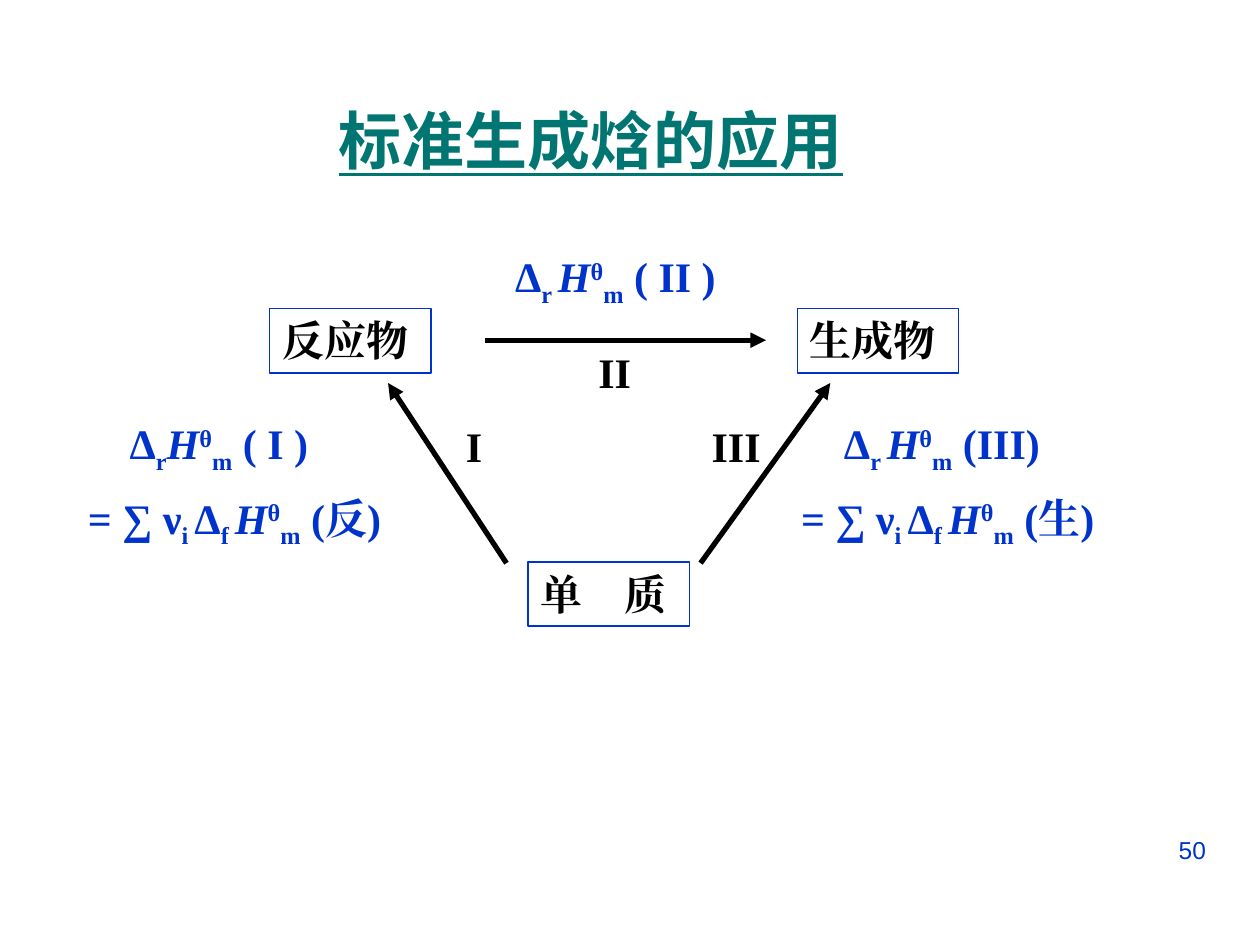
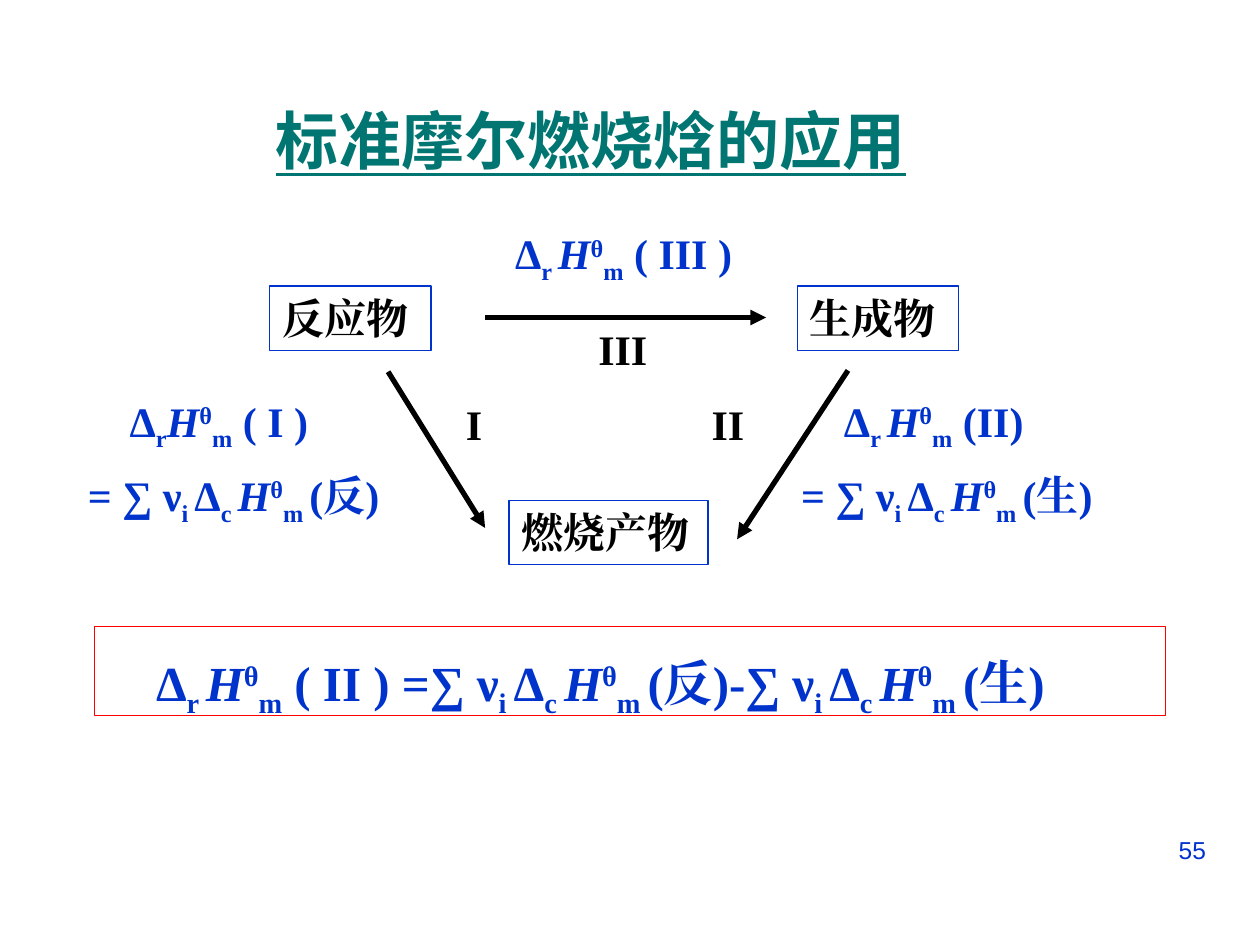
from lxml.etree import SubElement
from pptx import Presentation
from pptx.dml.color import RGBColor
from pptx.enum.shapes import MSO_CONNECTOR, MSO_SHAPE
from pptx.enum.text import MSO_ANCHOR, PP_ALIGN
from pptx.oxml.ns import qn
from pptx.util import Inches, Pt

BLUE = RGBColor(0x00, 0x33, 0xCC)
TEAL = RGBColor(0x00, 0x75, 0x72)
RED = RGBColor(0xFF, 0x00, 0x00)
BLACK = RGBColor(0x00, 0x00, 0x00)
WHITE = RGBColor(0xFF, 0xFF, 0xFF)
SERIF, SANS, CJK = "Times New Roman", "Arial", "Noto Sans CJK SC"
BASELINES = {"_": "-25000", "^": "30000"}


def enthalpy(sub, tail, m="m"):
    """Return the markup of a molar enthalpy: _ lowers, ^ raises, * slants."""
    return f"Δ|_{sub}|*H|^θ|_{m}|{tail}"


def weighted_sum(sub, state, m="m"):
    """Return the markup of a sum of enthalpies over the species of a state."""
    return "∑ ν|_i |" + enthalpy(sub, state, m)


def add_run(p, part, size, color, font, bold, underline):
    """Add one run, whose first character may mark its style."""
    r = p.add_run()
    r.text = part.lstrip("_^*")
    f = r.font
    f.name, f.size, f.bold, f.underline = font, Pt(size), bold, underline
    f.color.rgb = color
    f.italic = part.startswith("*")
    rPr = f._element
    SubElement(rPr, qn("a:ea"), typeface=font)
    if part[0] in BASELINES:
        rPr.set("baseline", BASELINES[part[0]])


def write(sp, lines, size=24, color=BLACK, font=SERIF, bold=True, underline=False,
          align=PP_ALIGN.LEFT, spacing=None, indents=(0,), wrap=True):
    """Fill a shape with lines of marked-up text."""
    tf = sp.text_frame
    tf.word_wrap = wrap
    tf.vertical_anchor = MSO_ANCHOR.TOP
    for i, (line, indent) in enumerate(zip(lines, indents)):
        p = tf.add_paragraph() if i else tf.paragraphs[0]
        p.alignment = align
        if spacing:
            p.line_spacing = spacing
        if indent:
            p._p.get_or_add_pPr().set("marL", str(Inches(indent)))
        for part in line.split("|"):
            add_run(p, part, size, color, font, bold, underline)


def add_label(slide, x, y, w, h, *lines, **fmt):
    """Add a text box."""
    write(slide.shapes.add_textbox(*map(Inches, (x, y, w, h))), lines, **fmt)


def add_box(slide, x, y, w, h, text, line=BLUE, fill=WHITE, **fmt):
    """Add an outlined rectangle with text."""
    sp = slide.shapes.add_shape(MSO_SHAPE.RECTANGLE, *map(Inches, (x, y, w, h)))
    sp.shadow.inherit = False
    if fill is None:
        sp.fill.background()
    else:
        sp.fill.solid()
        sp.fill.fore_color.rgb = fill
    sp.line.color.rgb = line
    sp.line.width = Pt(0.75)
    write(sp, [text], **fmt)


def add_arrow(slide, x1, y1, x2, y2):
    """Add a thick black arrow."""
    c = slide.shapes.add_connector(MSO_CONNECTOR.STRAIGHT, *map(Inches, (x1, y1, x2, y2)))
    c.line.color.rgb = BLACK
    c.line.width = Pt(3)
    SubElement(c.line._get_or_add_ln(), qn("a:tailEnd"), type="triangle")
    SubElement(c._element.spPr, qn("a:effectLst"))


def add_cycle(slide, left, top, base, base_w, base_y, numerals, formulas, arrows):
    """Draw a reaction cycle: two nodes above, one below, with arrows and labels."""
    path_left, path_top, path_right = numerals
    formula_left, formula_top, formula_right = formulas
    add_label(slide, left + 3.48, top, 2.22, 0.5, formula_top, color=BLUE, indents=[0.08])
    for x, lines, indents in ((0, formula_left, (0.5, 0.17)),
                              (5.75, formula_right, (0.42, 0.08))):
        add_label(slide, left + x, top + 1.19, 3.3, 1.15, *lines,
                  color=BLUE, spacing=1.3, indents=indents)
    for x, y, w, text in ((4.4 - base_w / 2, base_y, base_w, base),
                          (1.71, 0.51, 1.28, "反应物"), (5.9, 0.51, 1.28, "生成物")):
        add_box(slide, left + x, top + y, w, 0.51, text)
    for x1, y1, x2, y2 in ((3.42, 0.76, 5.65, 0.76), *arrows):
        add_arrow(slide, left + x1, top + y1, left + x2, top + y2)
    for x, y, text in ((3.17, 1.35, path_left), (4.22, 0.76, path_top),
                       (5.12, 1.35, path_right)):
        add_label(slide, left + x, top + y, 0.7, 0.5, text, wrap=False)


def add_frame(prs, title, number):
    """Add a slide with its title and page number."""
    slide = prs.slides.add_slide(prs.slide_layouts[6])
    add_label(slide, 7.17, 6.58, 2.5, 0.52, number, size=14, color=BLUE,
              font=SANS, bold=False, align=PP_ALIGN.RIGHT)
    add_label(slide, 2.01, 0.76, 5.36, 0.7, title, size=36, color=TEAL,
              font=CJK, underline=True, align=PP_ALIGN.CENTER)
    return slide


def formation_slide(prs):
    """Build the slide on enthalpies of formation."""
    slide = add_frame(prs, "标准生成焓的应用", "50")
    add_cycle(
        slide, 0.43, 1.94, "单　质", 1.28, 2.52, ("I", "II", "III"),
        ((enthalpy("r", " ( I )"), "= " + weighted_sum("f ", " (反)")),
         enthalpy("r ", " ( II )"),
         (enthalpy("r ", " (III)"), "= " + weighted_sum("f ", " (生)"))),
        ((3.59, 2.53, 2.65, 1.1), (5.13, 2.53, 6.16, 1.1)))


def combustion_slide(prs):
    """Build the slide on enthalpies of combustion."""
    slide = add_frame(prs, "标准摩尔燃烧焓的应用", "55")
    reactants = weighted_sum("c ", "(反)", "m ")
    products = weighted_sum("c ", "(生)", "m ")
    add_cycle(
        slide, 0.43, 1.76, "燃烧产物", 1.58, 2.21, ("I", "III", "II"),
        ((enthalpy("r", " ( I )"), "= " + reactants),
         enthalpy("r ", " ( III )"),
         (enthalpy("r ", " (II)"), "= " + products)),
        ((2.65, 1.19, 3.42, 2.43), (6.3, 1.18, 5.42, 2.52)))
    add_box(slide, 0.75, 4.97, 8.5, 0.71,
            enthalpy("r ", " ( II ) =") + reactants + "-" + products,
            line=RED, fill=None, size=28, color=BLUE, spacing=1.3, indents=[0.39])


def main():
    """Build and save the presentation."""
    prs = Presentation()
    prs.slide_width, prs.slide_height = Inches(10), Inches(7.5)
    formation_slide(prs)
    combustion_slide(prs)
    prs.save("out.pptx")


if __name__ == "__main__":
    main()
